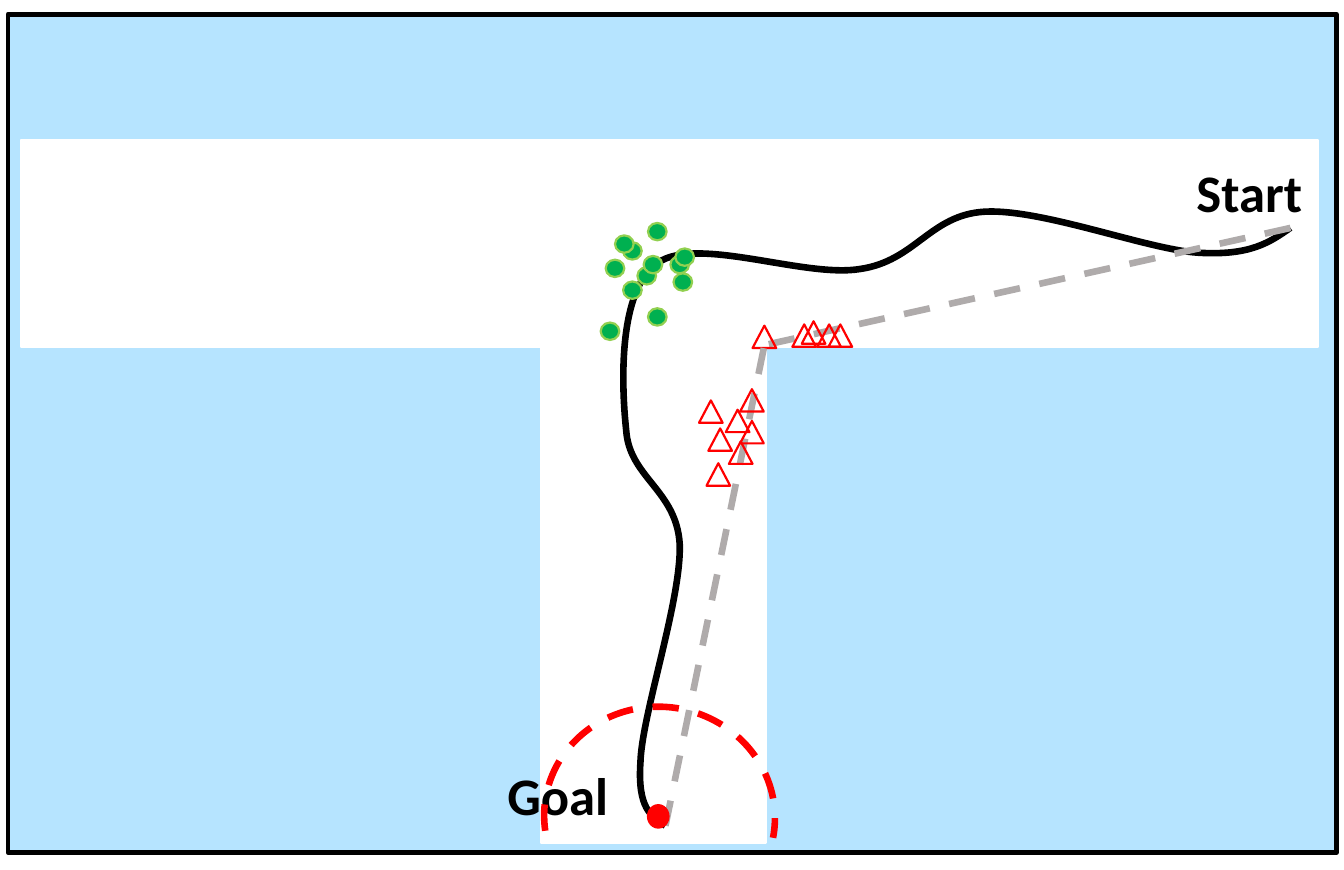
"""Draw a T-shaped maze with two routes from start to goal."""
from dataclasses import dataclass

from lxml.etree import SubElement
from pptx import Presentation
from pptx.dml.color import RGBColor
from pptx.enum.dml import MSO_LINE
from pptx.enum.shapes import MSO_CONNECTOR, MSO_SHAPE
from pptx.enum.text import MSO_AUTO_SIZE
from pptx.oxml.ns import qn
from pptx.util import Cm, Pt


@dataclass(frozen=True)
class Theme:
    black: str = "000000"
    white: str = "FFFFFF"
    wall: str = "B6E4FF"
    green: str = "00B050"
    lime: str = "92D050"
    red: str = "FF0000"
    grey: str = "AFABAB"
    font: str = "Calibri"
    label_size: int = 24
    thin: float = 1
    frame: float = 2.25
    thick: float = 3


THEME = Theme()

ROUTE = [
    (20.73, 3.66),
    (20.4, 3.89), (20.09, 4.11), (19.25, 4.06),
    (18.44, 4.01), (16.74, 3.35), (15.82, 3.4),
    (14.94, 3.45), (14.71, 4.19), (13.82, 4.32),
    (12.93, 4.47), (11.2, 3.78), (10.57, 4.22),
    (9.93, 4.65), (9.98, 6.17), (10.06, 6.91),
    (10.11, 7.67), (10.87, 7.87), (10.92, 8.74),
    (10.95, 9.63), (10.31, 11.48), (10.29, 12.24),
    (10.24, 12.98), (10.46, 13.11), (10.69, 13.26),
]
DOTS = [
    (10.77, 4.11), (10.41, 3.58), (10.01, 3.89), (9.73, 4.17),
    (9.88, 3.78), (10.01, 4.52), (10.24, 4.29), (10.82, 4.39),
    (10.34, 4.11), (10.85, 3.99), (10.41, 4.95), (9.65, 5.18),
]
STEM_TRIANGLES = [(11.38, 6.88), (11.23, 6.43), (11.35, 7.44), (11.66, 6.58)]
CORNER_TRIANGLES = [(12.73, 5.21), (13.13, 5.21), (13.31, 5.21), (12.88, 5.16), (12.09, 5.23)]
FRONT_TRIANGLES = [(11.89, 6.25), (11.71, 7.09), (11.89, 6.76)]


def style_line(line, colour, width, dash=None):
    """Set the colour, width and optional dash of a line."""
    line.color.rgb = RGBColor.from_string(colour)
    line.width = Pt(width)
    if dash:
        line.dash_style = dash


def add_figure(shapes, kind, place, fill, outline, width=THEME.thin, dash=None):
    """Add a preset shape at a left, top, width, height in centimetres."""
    figure = shapes.add_shape(kind, *map(Cm, place))
    figure.shadow.inherit = False
    if fill:
        figure.fill.solid()
        figure.fill.fore_color.rgb = RGBColor.from_string(fill)
    else:
        figure.fill.background()
    style_line(figure.line, outline, width, dash)
    return figure


def add_triangles(shapes, corners):
    """Add one hollow red triangle at each top left corner."""
    for corner in corners:
        add_figure(shapes, MSO_SHAPE.ISOSCELES_TRIANGLE, (*corner, 0.38, 0.36), None, THEME.red)


def add_dashed_line(shapes, start, end):
    """Add a grey dashed line between two points."""
    connector = shapes.add_connector(MSO_CONNECTOR.STRAIGHT, *map(Cm, (*start, *end)))
    style_line(connector.line, THEME.grey, THEME.thick, MSO_LINE.DASH)
    SubElement(connector.element.spPr, qn("a:effectLst"))


def add_curve(shapes, points):
    """Add an open curve from a start point and Bezier point triples."""
    start, *others = [(Cm(x), Cm(y)) for x, y in points]
    builder = shapes.build_freeform(*start)
    builder.add_line_segments(others, close=False)
    curve = builder.convert_to_shape()
    segments = list(curve.element.iter(qn("a:lnTo")))
    for first, second, third in zip(segments[::3], segments[1::3], segments[2::3]):
        outline = first.getparent()
        bezier = SubElement(outline, qn("a:cubicBezTo"))
        for segment in (first, second, third):
            bezier.append(segment[0])
            outline.remove(segment)
    curve.shadow.inherit = False
    curve.fill.background()
    style_line(curve.line, THEME.black, THEME.thick)


def add_label(shapes, text, place):
    """Add a bold label."""
    box = shapes.add_textbox(*map(Cm, place))
    frame = box.text_frame
    frame.word_wrap = True
    frame.auto_size = MSO_AUTO_SIZE.SHAPE_TO_FIT_TEXT
    para = frame.paragraphs[0]
    para.text = text
    para.font.name = THEME.font
    para.font.size = Pt(THEME.label_size)
    para.font.bold = True
    para.font.color.rgb = RGBColor.from_string(THEME.black)


def add_goal(shapes):
    """Add the grouped goal dot and the dashed arc around it."""
    goal = shapes.add_group_shape().shapes
    add_figure(goal, MSO_SHAPE.OVAL, (10.41, 12.93, 0.33, 0.36), THEME.red, THEME.red)
    arc = add_figure(goal, MSO_SHAPE.ARC, (8.74, 11.35, 3.71, 3.53), None,
                     THEME.red, THEME.thick, MSO_LINE.DASH)
    arc.adjustments[0] = 99.77
    arc.adjustments[1] = 2.29
    arc.rotation = 6.7


def main():
    """Build and save the slide."""
    deck = Presentation()
    deck.slide_width, deck.slide_height = Cm(21.59), Cm(13.97)
    shapes = deck.slides.add_slide(deck.slide_layouts[6]).shapes

    add_figure(shapes, MSO_SHAPE.RECTANGLE, (0.13, 0.23, 21.34, 13.46),
               THEME.wall, THEME.black, THEME.frame)
    for corridor in [(0.34, 2.25, 20.83, 3.33), (8.69, 3.76, 3.61, 9.78)]:
        add_figure(shapes, MSO_SHAPE.RECTANGLE, corridor, THEME.white, THEME.white)
    add_curve(shapes, ROUTE)
    for corner in DOTS:
        add_figure(shapes, MSO_SHAPE.OVAL, (*corner, 0.3, 0.28), THEME.green, THEME.lime)
    add_triangles(shapes, STEM_TRIANGLES)
    add_dashed_line(shapes, (20.73, 3.66), (12.29, 5.54))
    add_label(shapes, "Start", (18.97, 2.44, 2.57, 1.27))
    add_label(shapes, "Goal", (7.9, 12.12, 2.29, 1.27))
    add_triangles(shapes, CORNER_TRIANGLES)
    add_dashed_line(shapes, (12.27, 5.59), (10.69, 13.26))
    add_triangles(shapes, FRONT_TRIANGLES)
    add_goal(shapes)
    deck.save("out.pptx")


if __name__ == "__main__":
    main()
